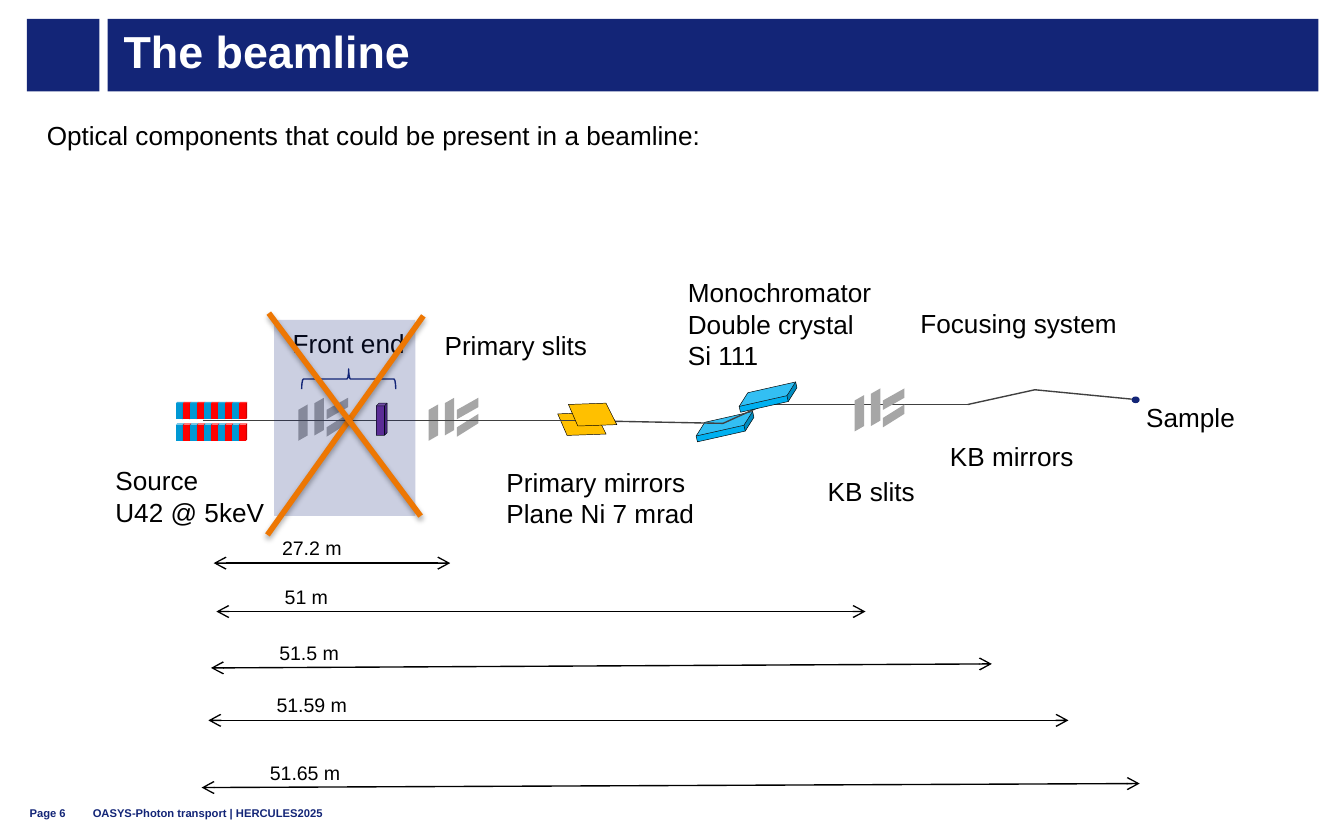
from dataclasses import dataclass

from lxml import etree
from pptx import Presentation
from pptx.dml.color import RGBColor
from pptx.enum.shapes import MSO_CONNECTOR, MSO_SHAPE
from pptx.enum.text import MSO_ANCHOR
from pptx.oxml import parse_xml
from pptx.oxml.ns import nsdecls, qn
from pptx.util import Inches, Pt

RECT, CUBE, OVAL = MSO_SHAPE.RECTANGLE, MSO_SHAPE.CUBE, MSO_SHAPE.OVAL
BRACE, STRAIGHT = MSO_SHAPE.RIGHT_BRACE, MSO_CONNECTOR.STRAIGHT
TOP, MIDDLE, BOTTOM = MSO_ANCHOR.TOP, MSO_ANCHOR.MIDDLE, MSO_ANCHOR.BOTTOM


@dataclass(frozen=True)
class Theme:
    """Colours, font and type sizes of the slide."""
    navy: str = "132577"
    white: str = "FFFFFF"
    black: str = "000000"
    beam: str = "404040"
    slit: str = "A6A6A6"
    mirror: str = "FFC000"
    crystal: str = "00B0F0"
    absorber: str = "7030A0"
    north: str = "0098D4"
    south: str = "FF0000"
    cross: str = "ED7703"
    font: str = "Arial"
    title: float = 24
    body: float = 14
    distance: float = 10.5
    footer: float = 6


T = Theme()
SLIT_BLADES = (
    ((0, 0.09), (0.07, 0.05), (0.07, 0.28), (0, 0.32)),
    ((0.12, 0.04), (0.19, 0), (0.19, 0.24), (0.12, 0.28)),
    ((0.21, 0.09), (0.37, 0), (0.37, 0.07), (0.21, 0.16)),
    ((0.21, 0.22), (0.37, 0.12), (0.37, 0.19), (0.21, 0.29)),
)
MIRROR = ((0, 0.01), (0.28, 0), (0.36, 0.16), (0.07, 0.17))
BEAM = ((1.51, 3.13), (4.33, 3.13), (5.38, 3.15), (5.69, 3.01),
        (7.2, 3.01), (7.7, 2.9), (8.42, 2.97))
LABELS = (
    ((0.76, 3.41, 1.32, 0.57), "Source\nU42 @ 5keV"),
    ((2.08, 2.39, 1.04, 0.34), "Front end"),
    ((3.21, 2.4, 1.27, 0.34), "Primary slits"),
    ((3.67, 3.42, 1.61, 0.57), "Primary mirrors\nPlane Ni 7 mrad"),
    ((5.02, 2.01, 1.57, 0.81), "Monochromator\nDouble crystal\nSi 111"),
    ((6.75, 2.24, 1.67, 0.34), "Focusing system"),
    ((8.43, 2.94, 0.87, 0.34), "Sample"),
    ((6.97, 3.23, 1.13, 0.34), "KB mirrors"),
    ((6.06, 3.49, 0.86, 0.34), "KB slits"),
)
DISTANCES = (
    ("27.2 m", (1.59, 4.19), (3.35, 4.19)),
    ("51 m", (1.61, 4.55), (6.44, 4.55)),
    ("51.5 m", (1.57, 4.97), (7.38, 4.94)),
    ("51.59 m", (1.55, 5.36), (7.95, 5.36)),
    ("51.65 m", (1.5, 5.86), (8.48, 5.83)),
)


def paint(sp, fill=None, line=None, width=0.25):
    """Give a shape its fill and outline, without a shadow."""
    sp.shadow.inherit = False
    for part, color in ((sp.fill, fill), (sp.line.fill, line)):
        if color:
            part.solid()
            part.fore_color.rgb = RGBColor.from_string(color)
        else:
            part.background()
    if line:
        sp.line.width = Pt(width)
    return sp


def add_shape(s, kind, box, fill=None, line=None, width=0.25, adj=None, rot=0):
    """Place a preset shape in a box."""
    sp = s.shapes.add_shape(kind, *map(Inches, box))
    sp.rotation = rot
    if adj is not None:
        sp.adjustments[0] = adj
    return paint(sp, fill, line, width)


def add_outline(s, left, top, points, fill, line=None):
    """Draw a closed outline whose points are relative to left and top."""
    pts = [(Inches(left + x), Inches(top + y)) for x, y in points]
    fb = s.shapes.build_freeform(*pts[0])
    fb.add_line_segments(pts[1:], close=True)
    return paint(fb.convert_to_shape(), fill, line)


def add_line(s, start, end, color, width=0.75, arrows=False, shadow=False):
    """Draw a straight line, with optional arrowheads and shadow."""
    cn = s.shapes.add_connector(STRAIGHT, *map(Inches, (*start, *end)))
    cn.line.color.rgb = RGBColor.from_string(color)
    cn.line.width = Pt(width)
    if arrows:
        for tag in ("a:headEnd", "a:tailEnd"):
            etree.SubElement(cn.line._get_or_add_ln(), qn(tag), type="arrow")
    effect = (f'<a:outerShdw blurRad="{Pt(3.1)}" dist="{Pt(1.8)}" dir="5400000" rotWithShape="0">'
              f'<a:srgbClr val="{T.black}"><a:alpha val="35000"/></a:srgbClr>'
              '</a:outerShdw>') if shadow else ""
    cn._element.spPr.append(parse_xml(f'<a:effectLst {nsdecls("a")}>{effect}</a:effectLst>'))


def add_text(s, box, text, size, color=T.black, bold=False, wrap=False,
             anchor=TOP, insets=(0.1, 0.05), spacing=None):
    """Place text in a box, one paragraph for each line."""
    tf = s.shapes.add_textbox(*map(Inches, box)).text_frame
    dx, dy = map(Inches, insets)
    frame = dict(word_wrap=wrap, vertical_anchor=anchor, margin_left=dx,
                 margin_right=dx, margin_top=dy, margin_bottom=dy)
    for name, value in frame.items():
        setattr(tf, name, value)
    tf.text = text
    for p in tf.paragraphs:
        if spacing:
            p.line_spacing = spacing
        for r in p.runs:
            for name, value in dict(name=T.font, size=Pt(size), bold=bold).items():
                setattr(r.font, name, value)
            r.font.color.rgb = RGBColor.from_string(color)


def add_header(s, left, top, width, height):
    """Draw the title bar with its square."""
    bar = (left + 0.6, top, width - 0.6, height)
    add_shape(s, RECT, (left, top, height, height), T.navy)
    add_shape(s, RECT, bar, T.navy)
    add_text(s, bar, "The beamline", T.title, T.white, True, True, MIDDLE, (0.12, 0), 0.85)


def add_footer(s, left, top, width, height):
    """Write the page number and the course name."""
    style = dict(size=T.footer, color=T.navy, bold=True, wrap=True, anchor=BOTTOM, insets=(0, 0))
    add_text(s, (left, top, 0.45, height), "Page 6", **style)
    add_text(s, (left + 0.47, top, width - 0.47, height),
             "OASYS-Photon transport | HERCULES2025", **style)


def add_undulator(s, left, top, width, height):
    """Draw two rows of alternating magnets."""
    magnets, size = 10, 0.06
    pitch = (width - size) / (magnets - 1)
    for y in (top, top + height - 0.13):
        for i in range(magnets):
            add_shape(s, CUBE, (left + i * pitch, y, size, 0.13),
                      (T.north, T.south)[i % 2], adj=0.16)


def add_slits(s, left, top):
    """Draw a set of four slit blades."""
    for blade in SLIT_BLADES:
        add_outline(s, left, top, blade, T.slit)


def add_crystal(s, left, top):
    """Draw one tilted monochromator crystal."""
    add_shape(s, CUBE, (left, top, 0.45, 0.13), T.crystal, T.black, adj=0.66, rot=347.3)


def add_optics(s):
    """Draw the components and the beam that runs through them."""
    add_outline(s, 4.15, 3.07, MIRROR, T.mirror, T.black)
    add_crystal(s, 5.17, 3.11)
    for left in (2.22, 3.19):
        add_slits(s, left, 2.96)
    add_undulator(s, 1.31, 2.99, 0.53, 0.29)
    for start, end in zip(BEAM, BEAM[1:]):
        add_line(s, start, end, T.beam)
    add_shape(s, CUBE, (2.8, 3, 0.08, 0.24), T.absorber, T.black)
    add_shape(s, BRACE, (2.52, 2.47, 0.15, 0.7), line=T.navy, width=0.75, rot=270)
    add_outline(s, 4.23, 3, MIRROR, T.mirror, T.black)
    add_crystal(s, 5.49, 2.89)
    add_slits(s, 6.36, 2.89)
    add_shape(s, OVAL, (8.42, 2.95, 0.06, 0.05), T.navy)
    for box, text in LABELS:
        add_text(s, box, text, T.body)


def add_crossed_panel(s, left, top, width, height):
    """Shade the front end and strike it out."""
    panel = add_shape(s, RECT, (left, top, width, height), T.navy)
    color = panel._element.spPr.find(qn("a:solidFill"))[0]
    etree.SubElement(color, qn("a:alpha"), val="22000")
    right, bottom = left + width, top + height
    for start, end in (((right + 0.06, top - 0.03), (left - 0.05, bottom + 0.14)),
                       ((left - 0.04, top - 0.05), (right + 0.04, bottom))):
        add_line(s, start, end, T.cross, 3, shadow=True)


def add_distances(s):
    """Draw the distance arrows, each with its value above."""
    for text, start, end in DISTANCES:
        add_line(s, start, end, T.black, arrows=True)
        add_text(s, (start[0] + 0.41, start[1] - 0.25, 0.75, 0.29), text, T.distance, wrap=True)


def main():
    """Build and save the slide."""
    prs = Presentation()
    prs.slide_width, prs.slide_height = Inches(10), Inches(6.25)
    s = prs.slides.add_slide(prs.slide_layouts[6])
    add_header(s, 0.2, 0.14, 9.61, 0.54)
    add_text(s, (0.25, 0.84, 9.56, 0.34),
             "Optical components that could be present in a beamline:", T.body, wrap=True)
    add_optics(s)
    add_crossed_panel(s, 2.04, 2.38, 1.05, 1.46)
    add_distances(s)
    add_footer(s, 0.22, 5.91, 7.16, 0.19)
    prs.save("out.pptx")


if __name__ == "__main__":
    main()
